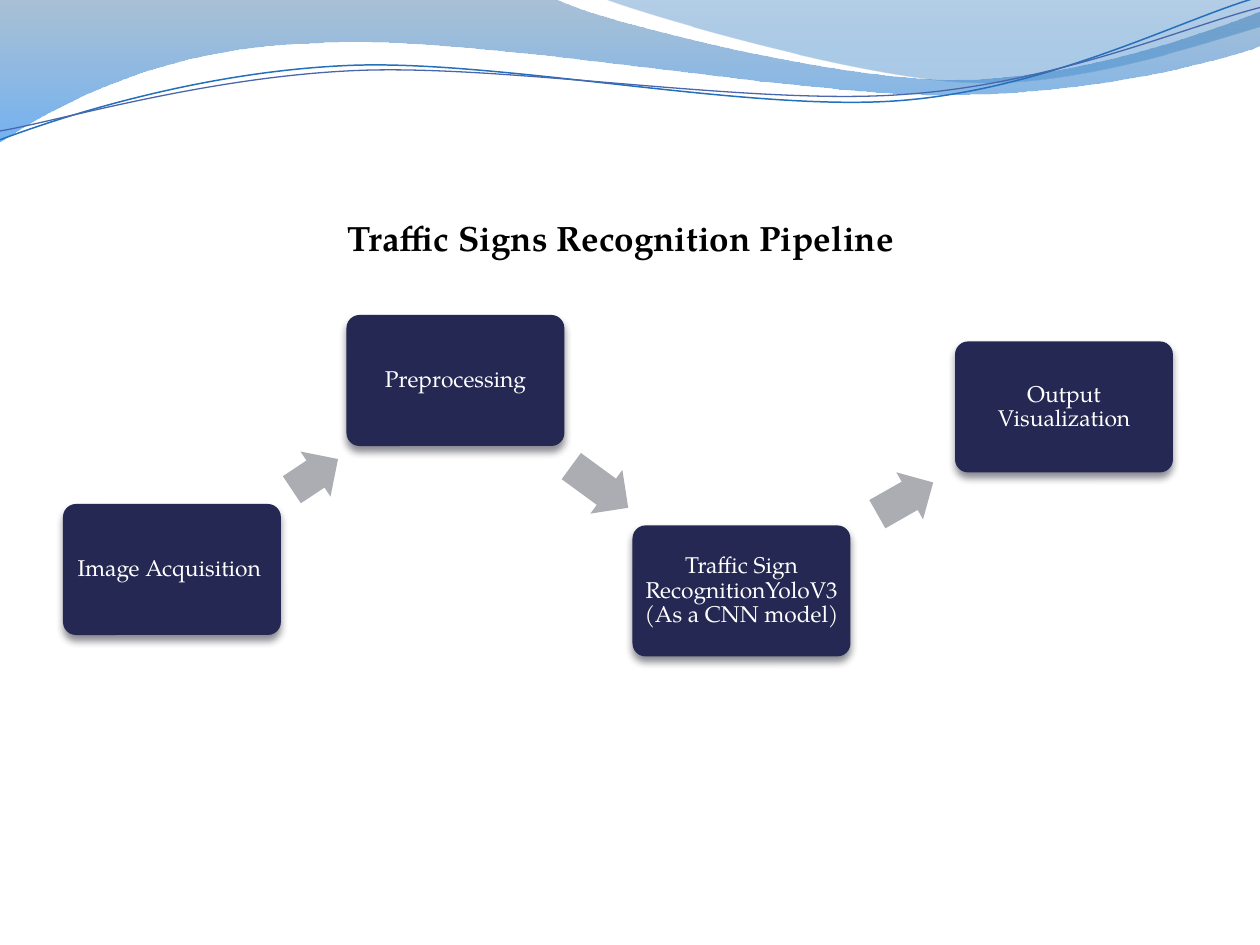
"""Build a slide showing the traffic sign recognition pipeline under a wave banner."""
from lxml.etree import SubElement
from pptx import Presentation
from pptx.dml.color import RGBColor
from pptx.enum.shapes import MSO_SHAPE as Shape
from pptx.enum.text import MSO_ANCHOR as Anchor, PP_ALIGN as Align
from pptx.oxml.ns import qn
from pptx.util import Inches, Pt

FONT = "TeX Gyre Pagella"


def color(value):
    return RGBColor.from_string(value)


def trace(page, start, segments, close):
    builder = page.shapes.build_freeform(Inches(start[0]), Inches(start[1]))
    for segment in segments:
        points = zip(segment[::2], segment[1::2])
        builder.add_line_segments([(Inches(x), Inches(y)) for x, y in points], close=False)
    if close:
        builder.add_line_segments([], close=True)
    shape = builder.convert_to_shape()
    shape.shadow.inherit = False
    lines = iter(list(shape._element.iter(qn("a:lnTo"))))
    for segment in segments:
        first, *others = [next(lines) for _ in segment[::2]]
        if others:
            first.tag = qn("a:cubicBezTo")
        for line in others:
            first.append(line[0])
            line.getparent().remove(line)
    return shape


deck = Presentation()
deck.slide_width, deck.slide_height = Inches(10), Inches(7.5)
page = deck.slides.add_slide(deck.slide_layouts[6])

waves = [
    ((0, 0), [(4.4, -0.01), (4.76, 0.17, 6.64, 0.63, 7.58, 0.63),
              (8.53, 0.63, 9.58, 0.26, 10, 0.09), (10.01, 0.36),
              (9.83, 0.44, 8.7, 0.76, 7.46, 0.75), (6.22, 0.75, 3.82, 0.28, 2.57, 0.34),
              (1.29, 0.36, 0.46, 0.83, -0.01, 1.13)],
     [(0, "4075A3", 45), (100, "0073E7", 55)]),
    ((4.79, -0.01), [(5.09, 0.11, 6.82, 0.62, 7.69, 0.65),
                     (8.56, 0.69, 9.61, 0.32, 10, 0.21), (10, 0)],
     [(0, "0B5EB1", 30), (80, "438CCC", 45)]),
]
for start, segments, stops in waves:
    wave = trace(page, start, segments, True)
    wave.line.fill.background()
    wave.fill.gradient()
    wave.fill.gradient_angle = 270
    for stop, (position, value, opacity) in zip(wave.fill.gradient_stops, stops):
        stop.position = position / 100
        stop.color.rgb = color(value)
    tints = wave._element.spPr.iter(qn("a:srgbClr"))
    for tint, (position, value, opacity) in zip(tints, stops):
        SubElement(tint, qn("a:alpha"), val=str(opacity * 1000))

strands = [
    ((0, 1.11), [(0.48, 0.93, 1.58, 0.57, 2.77, 0.52), (3.95, 0.47, 5.93, 0.89, 7.13, 0.8),
                 (8.33, 0.71, 9.38, 0.15, 9.98, -0.02)], "2470BC", 0.85),
    ((0, 1.04), [(0.47, 0.96, 1.64, 0.61, 2.83, 0.56), (4.03, 0.51, 5.97, 0.84, 7.17, 0.75),
                 (8.36, 0.67, 9.41, 0.21, 10, 0.06)], "4A66AC", 0.75),
]
for start, segments, value, width in strands:
    strand = trace(page, start, segments, False)
    strand.fill.background()
    strand.line.color.rgb = color(value)
    strand.line.width = Pt(width)

stages = [
    (0.5, 4, "Image Acquisition "),
    (2.75, 2.5, "Preprocessing"),
    (5.02, 4.17, "Traffic Sign RecognitionYoloV3 (As a CNN model) "),
    (7.58, 2.71, "Output Visualization"),
]
for left, top, label in stages:
    box = page.shapes.add_shape(Shape.ROUNDED_RECTANGLE, Inches(left), Inches(top),
                                Inches(1.73), Inches(1.04))
    box.adjustments[0] = 0.1
    box.fill.solid()
    box.fill.fore_color.rgb = color("242852")
    box.line.fill.background()
    box.shadow.inherit = False
    effects = box._element.spPr.find(qn("a:effectLst"))
    shadow = SubElement(effects, qn("a:outerShdw"), blurRad=str(Pt(4.5)), dist=str(Pt(3)),
                        dir="5400000", rotWithShape="0")
    shade = SubElement(shadow, qn("a:srgbClr"), val="0C0E1D")
    SubElement(shade, qn("a:alpha"), val="48000")
    frame = box.text_frame
    frame.word_wrap = True
    frame.vertical_anchor = Anchor.MIDDLE
    frame.margin_left = frame.margin_right = Inches(0.05)
    frame.margin_top = frame.margin_bottom = Inches(0.05)
    para = frame.paragraphs[0]
    para.text = label
    para.alignment = Align.CENTER
    para.line_spacing = 0.9
    para.font.name, para.font.size = FONT, Pt(13)
    para.font.color.rgb = color("FFFFFF")

arrows = [(2.28, 3.55, 0.44, 326.3), (4.48, 3.65, 0.56, 36.2), (6.93, 3.74, 0.51, 330.4)]
for left, top, length, angle in arrows:
    arrow = page.shapes.add_shape(Shape.RIGHT_ARROW, Inches(left), Inches(top),
                                  Inches(length), Inches(0.43))
    arrow.adjustments[0], arrow.adjustments[1] = 0.6, 0.5
    arrow.rotation = angle
    arrow.fill.solid()
    arrow.fill.fore_color.rgb = color("ACADB3")
    arrow.line.fill.background()
    arrow.shadow.inherit = False

title = page.shapes.add_textbox(Inches(2.66), Inches(1.67), Inches(4.67), Inches(0.44))
title.text_frame.word_wrap = False
para = title.text_frame.paragraphs[0]
para.text = "Traffic Signs Recognition Pipeline"
para.font.name, para.font.size, para.font.bold = FONT, Pt(20), True
para.font.color.rgb = color("000000")

deck.save("out.pptx")
